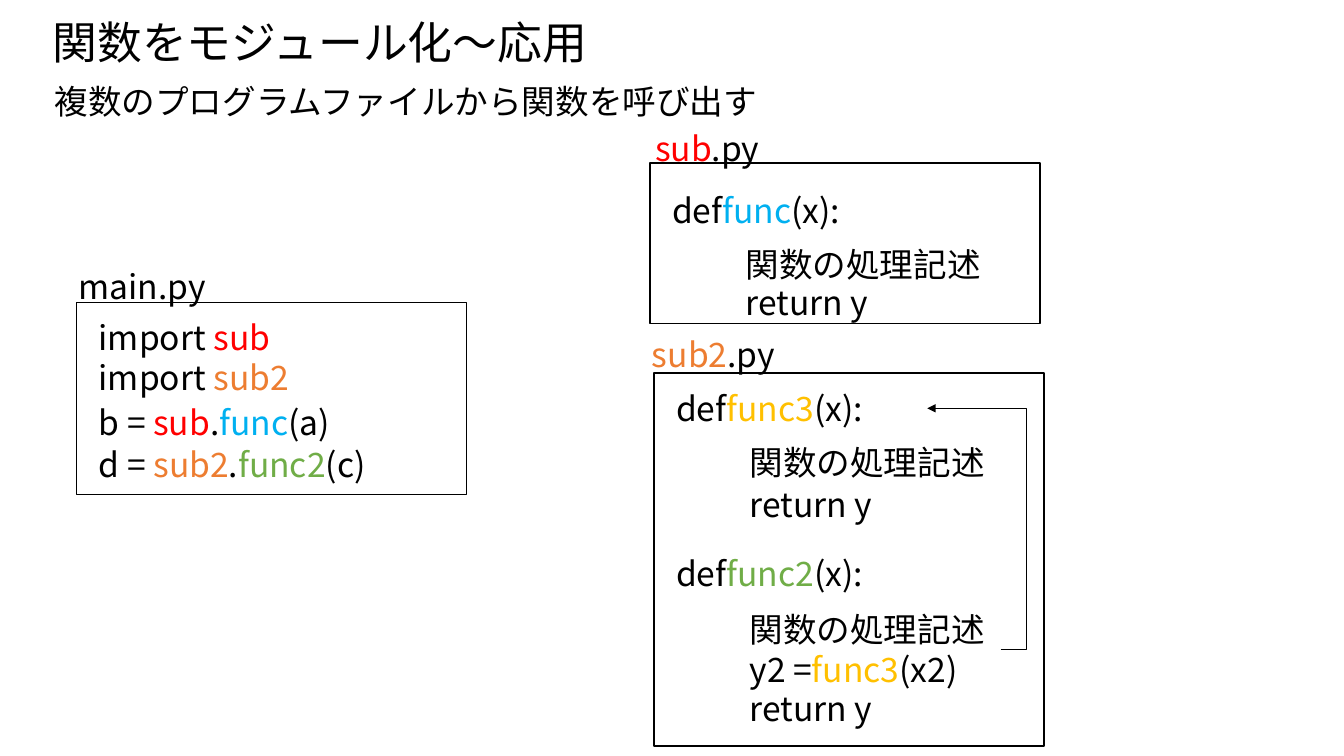
from dataclasses import dataclass

from lxml.etree import SubElement
from pptx import Presentation
from pptx.dml.color import RGBColor
from pptx.enum.shapes import MSO_CONNECTOR, MSO_SHAPE
from pptx.enum.text import MSO_ANCHOR, MSO_AUTO_SIZE, PP_ALIGN
from pptx.oxml.ns import qn
from pptx.util import Cm, Pt


@dataclass(frozen=True)
class Theme:
    font: str = "Noto Sans CJK JP"
    ink: str = "000000"
    sub: str = "FF0000"
    sub2: str = "ED7D31"
    func: str = "00B0F0"
    func2: str = "70AD47"
    func3: str = "FFC000"
    title_size: int = 32
    text_size: int = 24
    frame_width: float = 1
    arrow_width: float = 0.5


THEME = Theme()

# A line is a list of pieces; a piece named in COLOURED takes its own colour.
COLOURED = ("sub", "sub2", "func", "func2", "func3")
TITLE = ["関数をモジュール化～応用"]
SUBTITLE = ["複数のプログラムファイルから関数を呼び出す"]
PROCESS = ["関数の処理記述"]
RETURN = ["return y"]

# Lengths in cm. Label and code offsets are measured from the frame's corner.
STATEMENT, BODY = 0.31, 2.16
FILES = [
    {
        "frame": (1.93, 7.62, 9.83, 4.85),
        "label": (-0.2, -1.04, 3.89, [["main.py"]]),
        "code": [
            (STATEMENT, 0.23, 5.56, [["import ", "sub"], ["import ", "sub2"]]),
            (STATEMENT, 2.39, 7.09, [["b = ", "sub", ".", "func", "(a)"]]),
            (STATEMENT, 3.43, 8.1, [["d = ", "sub2", ".", "func2", "(c)"]]),
        ],
    },
    {
        "frame": (16.38, 4.11, 9.83, 4.04),
        "label": (-0.12, -1.01, 3.28, [["sub", ".py"]]),
        "code": [
            (STATEMENT, 0.54, 6.05, [["def\t", "func", "(x):"]]),
            (BODY, 1.91, 6.5, [PROCESS]),
            (BODY, 2.87, 3.86, [RETURN]),
        ],
    },
    {
        "frame": (16.48, 9.4, 9.83, 9.4),
        "label": (-0.3, -1.12, 3.84, [["sub2", ".py"]]),
        "code": [
            (STATEMENT, 0.25, 6.58, [["def\t", "func3", "(x):"]]),
            (BODY, 1.62, 6.5, [PROCESS]),
            (BODY, 2.66, 3.86, [RETURN]),
            (STATEMENT, 4.42, 6.58, [["def\t", "func2", "(x):"]]),
            (BODY, 5.81, 6.55, [PROCESS, ["y2 =", "func3", "(x2)"]]),
            (BODY, 7.8, 3.86, [RETURN]),
        ],
    },
]
CALL_ARROW = (25.22, 16.36, 23.37, 10.29)
ARROW_BEND = -34400
NAME_TAB = 1.85
LINE_HEIGHT, BOX_PADDING = 1.04, 0.23


def place(shape, left, top, width, height):
    shape.left, shape.top = Cm(left), Cm(top)
    shape.width, shape.height = Cm(width), Cm(height)


def write(shape, lines, size=THEME.text_size, tab=None):
    """Fill a shape with left-aligned lines made of coloured pieces."""
    frame = shape.text_frame
    frame.word_wrap = True
    frame.auto_size = MSO_AUTO_SIZE.NONE
    frame.vertical_anchor = MSO_ANCHOR.TOP
    for index, pieces in enumerate(lines):
        paragraph = frame.add_paragraph() if index else frame.paragraphs[0]
        paragraph.alignment = PP_ALIGN.LEFT
        paragraph.space_before = Pt(0)
        properties = paragraph._p.get_or_add_pPr()
        properties.set("marL", "0")
        properties.set("indent", "0")
        SubElement(properties, qn("a:buNone"))
        if tab:
            stops = SubElement(properties, qn("a:tabLst"))
            SubElement(stops, qn("a:tab"), pos=str(Cm(tab)), algn="l")
        for piece in pieces:
            run = paragraph.add_run()
            run.text = piece
            run.font.size = Pt(size)
            run.font.name = THEME.font
            colour = getattr(THEME, piece) if piece in COLOURED else THEME.ink
            run.font.color.rgb = RGBColor.from_string(colour)
            SubElement(run._r.get_or_add_rPr(), qn("a:ea"), typeface=THEME.font)


def add_text(slide, left, top, width, lines, **text_format):
    height = BOX_PADDING + LINE_HEIGHT * len(lines)
    box = slide.shapes.add_textbox(Cm(left), Cm(top), Cm(width), Cm(height))
    write(box, lines, **text_format)


def add_file(slide, frame, label, code):
    """Draw one program file: its frame, its name above and its code inside."""
    rectangle = slide.shapes.add_shape(
        MSO_SHAPE.RECTANGLE, *(Cm(length) for length in frame))
    rectangle.shadow.inherit = False
    rectangle.fill.background()
    rectangle.line.color.rgb = RGBColor.from_string(THEME.ink)
    rectangle.line.width = Pt(THEME.frame_width)
    left, top = frame[:2]
    for across, down, width, lines in [label, *code]:
        tab = NAME_TAB if lines[0][0].endswith("\t") else None
        add_text(slide, left + across, top + down, width, lines, tab=tab)


def add_call_arrow(slide):
    arrow = slide.shapes.add_connector(
        MSO_CONNECTOR.ELBOW, *(Cm(length) for length in CALL_ARROW))
    arrow.line.color.rgb = RGBColor.from_string(THEME.ink)
    arrow.line.width = Pt(THEME.arrow_width)
    properties = arrow._element.spPr
    SubElement(properties.find(qn("a:ln")), qn("a:tailEnd"), type="triangle")
    SubElement(properties, qn("a:effectLst"))
    geometry = properties.find(qn("a:prstGeom"))
    adjustments = geometry.find(qn("a:avLst"))
    if adjustments is None:
        adjustments = SubElement(geometry, qn("a:avLst"))
    SubElement(adjustments, qn("a:gd"), name="adj1", fmla=f"val {ARROW_BEND}")


def main():
    presentation = Presentation()
    presentation.slide_width, presentation.slide_height = Cm(33.87), Cm(19.05)
    slide = presentation.slides.add_slide(presentation.slide_layouts[1])
    title, subtitle = slide.placeholders
    place(title, 1.07, 0.25, 14.2, 1.63)
    write(title, [TITLE], size=THEME.title_size)
    place(subtitle, 1.12, 1.9, 18.47, 1.27)
    write(subtitle, [SUBTITLE])
    for program_file in FILES:
        add_file(slide, **program_file)
    add_call_arrow(slide)
    presentation.save("out.pptx")


if __name__ == "__main__":
    main()
